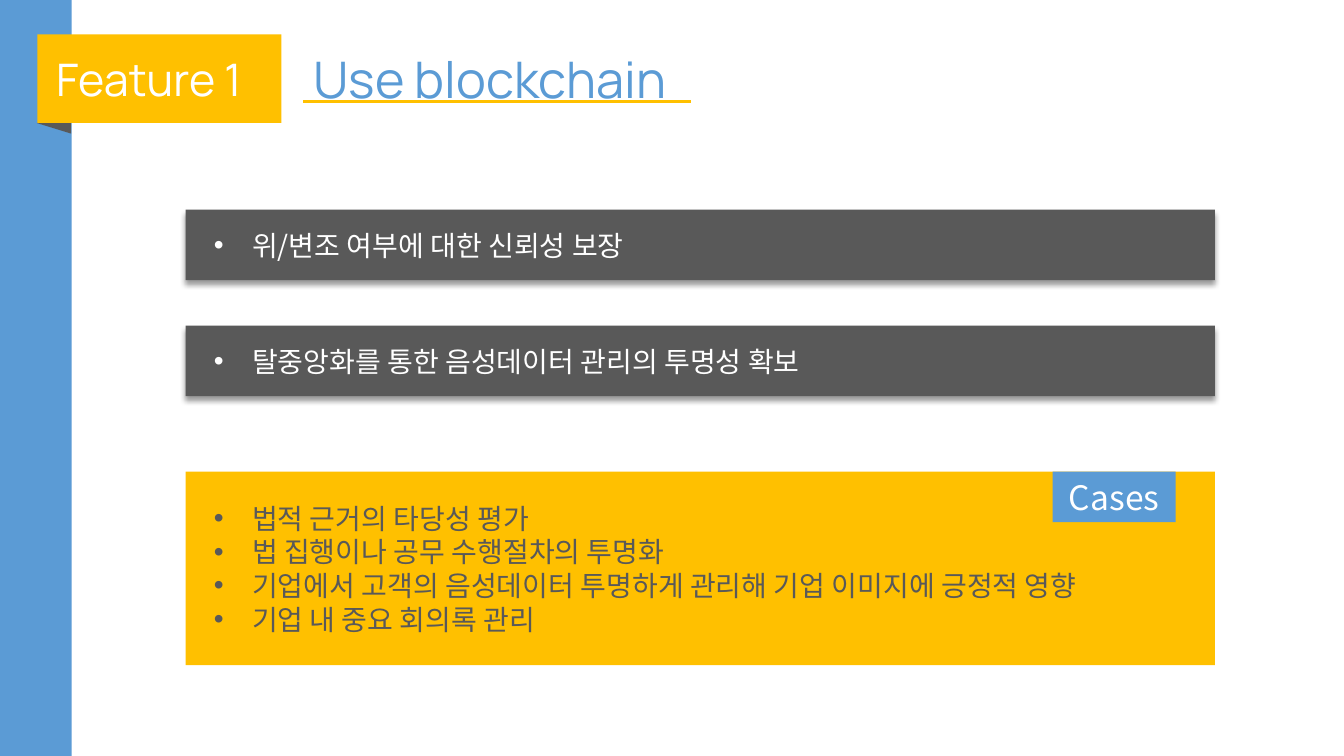
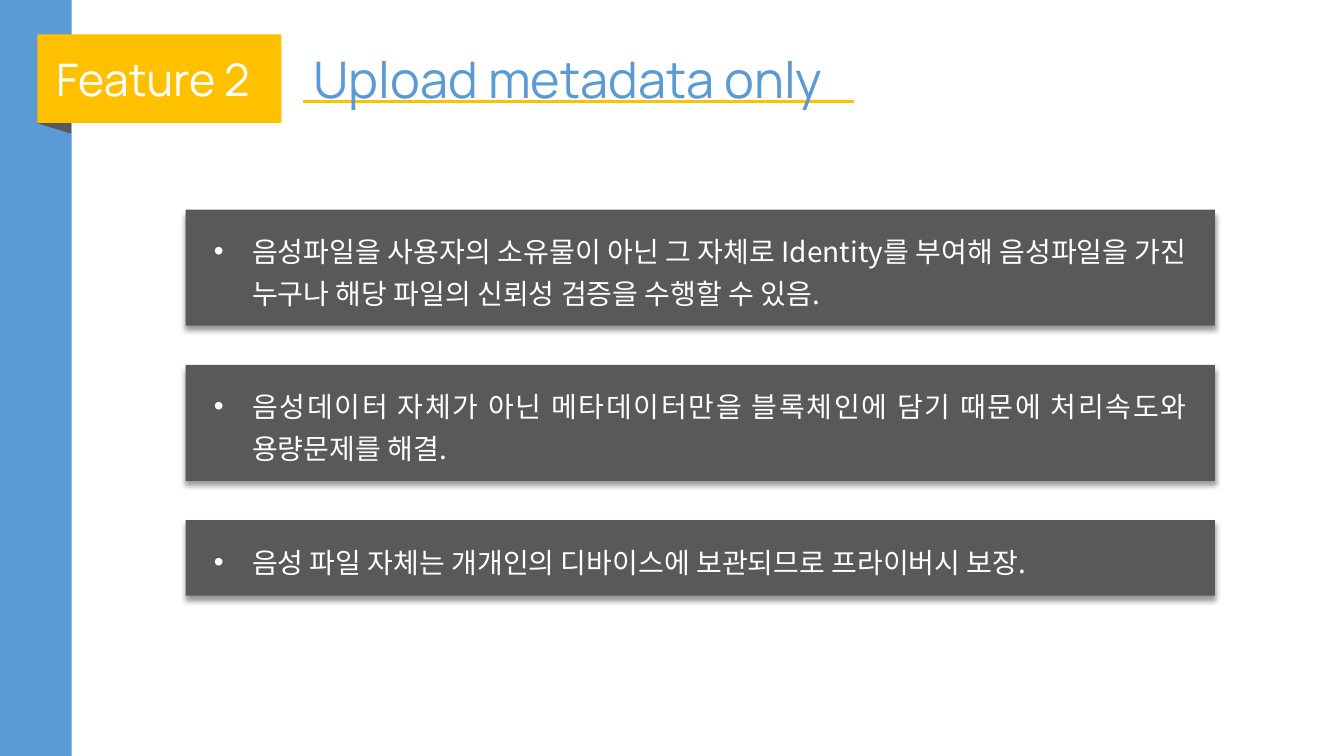
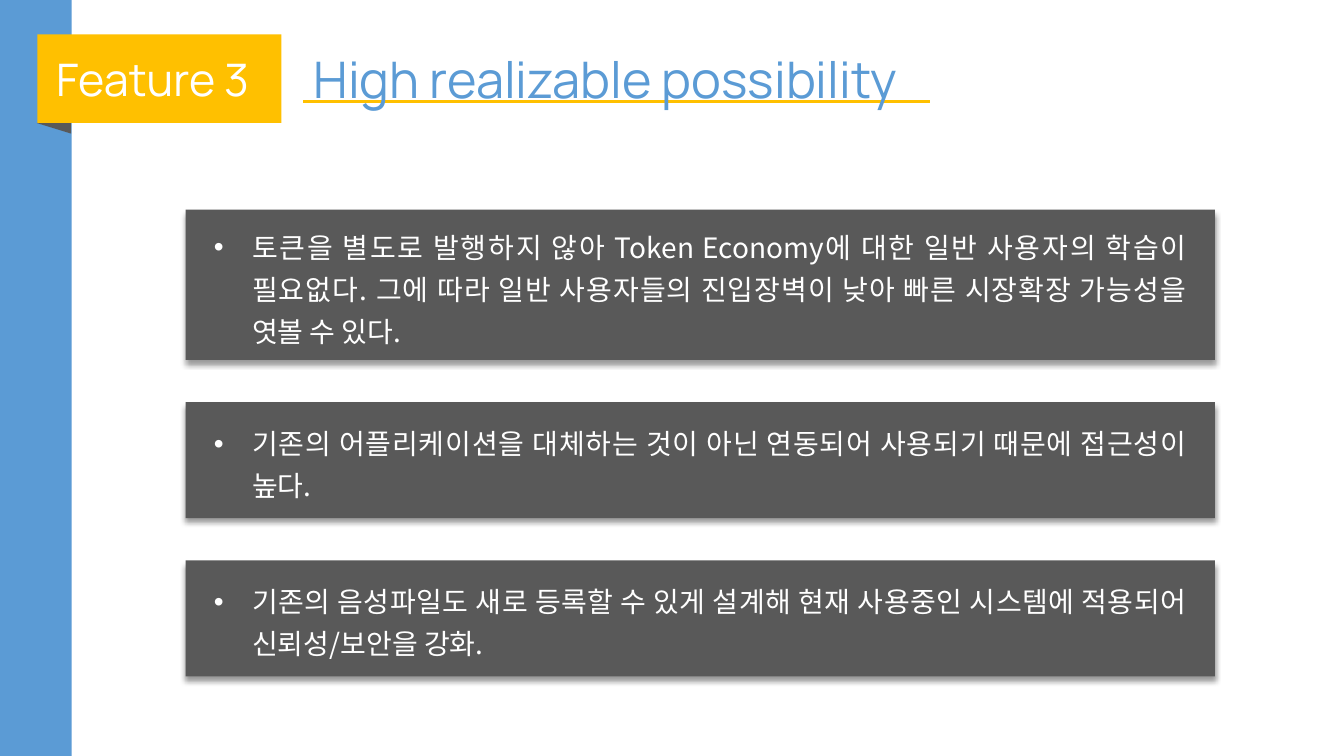
from dataclasses import dataclass

from lxml import etree
from pptx import Presentation
from pptx.dml.color import RGBColor
from pptx.enum.shapes import MSO_CONNECTOR, MSO_SHAPE
from pptx.enum.text import MSO_ANCHOR, MSO_AUTO_SIZE, PP_ALIGN
from pptx.oxml import parse_xml
from pptx.oxml.ns import nsdecls, qn
from pptx.util import Inches, Pt

RECTANGLE, TRIANGLE = MSO_SHAPE.RECTANGLE, MSO_SHAPE.ISOSCELES_TRIANGLE
STRAIGHT = MSO_CONNECTOR.STRAIGHT
TOP, MIDDLE = MSO_ANCHOR.TOP, MSO_ANCHOR.MIDDLE
LEFT, CENTER, JUSTIFY = PP_ALIGN.LEFT, PP_ALIGN.CENTER, PP_ALIGN.JUSTIFY
NO_AUTOFIT = MSO_AUTO_SIZE.NONE


@dataclass(frozen=True)
class Theme:
    blue: RGBColor = RGBColor.from_string("5B9BD5")
    yellow: RGBColor = RGBColor.from_string("FFC000")
    gray: RGBColor = RGBColor.from_string("595959")
    white: RGBColor = RGBColor.from_string("FFFFFF")
    heading_font: str = "Manrope"
    body_font: str = "Noto Sans CJK KR"
    title_size: int = 36
    tag_size: int = 32
    label_size: int = 24
    body_size: int = 20


theme = Theme()

SHADOW = (
    f'<a:effectLst {nsdecls("a")}><a:outerShdw blurRad="{Pt(4)}" dist="{Pt(3)}" '
    'dir="5400000" algn="t" rotWithShape="0"><a:srgbClr val="000000">'
    '<a:alpha val="40000"/></a:srgbClr></a:outerShdw></a:effectLst>'
)

# Content: title, underline end, line spacing, gap between bars, bars (height, text)
FEATURES = [
    ("Use blockchain", 6.85, 1.0, 0.45, [
        (0.7, "위/변조 여부에 대한 신뢰성 보장"),
        (0.7, "탈중앙화를 통한 음성데이터 관리의 투명성 확보"),
    ]),
    ("Upload metadata only", 8.47, 1.25, 0.39, [
        (1.15, "음성파일을 사용자의 소유물이 아닌 그 자체로 Identity를 부여해 "
               "음성파일을 가진 누구나 해당 파일의 신뢰성 검증을 수행할 수 있음."),
        (1.15, "음성데이터 자체가 아닌 메타데이터만을 블록체인에 담기 때문에 "
               "처리속도와 용량문제를 해결."),
        (0.75, "음성 파일 자체는 개개인의 디바이스에 보관되므로 프라이버시 보장."),
    ]),
    ("High realizable possibility", 9.22, 1.25, 0.42, [
        (1.49, "토큰을 별도로 발행하지 않아 Token Economy에 대한 일반 사용자의 학습이 "
               "필요없다. 그에 따라 일반 사용자들의 진입장벽이 낮아 빠른 시장확장 "
               "가능성을 엿볼 수 있다."),
        (1.15, "기존의 어플리케이션을 대체하는 것이 아닌 연동되어 사용되기 때문에 "
               "접근성이 높다."),
        (1.15, "기존의 음성파일도 새로 등록할 수 있게 설계해 현재 사용중인 시스템에 "
               "적용되어 신뢰성/보안을 강화."),
    ]),
]
CASES = [
    "법적 근거의 타당성 평가",
    "법 집행이나 공무 수행절차의 투명화",
    "기업에서 고객의 음성데이터 투명하게 관리해 기업 이미지에 긍정적 영향",
    "기업 내 중요 회의록 관리",
]
BAR_LEFT, BAR_TOP, BAR_WIDTH = 1.84, 2.08, 10.21


def add_block(slide, kind, left, top, width, height, color):
    shape = slide.shapes.add_shape(
        kind, Inches(left), Inches(top), Inches(width), Inches(height))
    shape.shadow.inherit = False
    shape.fill.solid()
    shape.fill.fore_color.rgb = color
    shape.line.fill.background()
    return shape


def write(shape, text, font, size, color, alignment=LEFT, anchor=MIDDLE, bullet_spacing=None):
    """Fill a shape with text; bullet_spacing turns lines into indented bullets."""
    frame = shape.text_frame
    frame.text = text
    frame.word_wrap = True
    frame.vertical_anchor = anchor
    if bullet_spacing:
        frame.margin_left = frame.margin_right = Inches(0.28)
    for paragraph in frame.paragraphs:
        paragraph.alignment = alignment
        paragraph.line_spacing = bullet_spacing or 1.0
        for run in paragraph.runs:
            run.font.size = Pt(size)
            run.font.color.rgb = color
            run.font.name = font
            east_asian = etree.SubElement(run.font._element, qn("a:ea"))
            east_asian.set("typeface", font)
        if bullet_spacing:
            properties = paragraph._p.get_or_add_pPr()
            properties.set("marL", str(Inches(0.38)))
            properties.set("indent", str(-Inches(0.38)))
            etree.SubElement(properties, qn("a:buFont")).set("typeface", "Arial")
            etree.SubElement(properties, qn("a:buChar")).set("char", "•")


presentation = Presentation()
presentation.slide_width = Inches(13.33)
presentation.slide_height = Inches(7.5)
layout = presentation.slide_layouts[5]
slides = [presentation.slides.add_slide(layout) for _ in FEATURES]

# Blue side band, moved to the layout so that every slide shares it
band = add_block(slides[0], RECTANGLE, 0, 0, 0.71, 7.5, theme.blue)
layout.shapes.element.insert(2, band.element)

for number, (slide, feature) in enumerate(zip(slides, FEATURES), start=1):
    title_text, underline_end, spacing, gap, bars = feature

    # Folded feature tag
    fold = add_block(slide, TRIANGLE, 0.43, 1.05, 0.21, 0.34, theme.gray)
    fold.rotation = 270
    tag = add_block(slide, RECTANGLE, 0.37, 0.34, 2.42, 0.88, theme.yellow)
    write(tag, f" Feature {number}", theme.heading_font, theme.tag_size, theme.white)

    # Title in front of its underline
    underline = slide.shapes.add_connector(
        STRAIGHT, Inches(3.01), Inches(1.01), Inches(underline_end), Inches(1.01))
    underline.line.color.rgb = theme.yellow
    underline.line.width = Pt(2)
    etree.SubElement(underline.element.spPr, qn("a:effectLst"))
    title = slide.shapes.title
    title.left, title.top = Inches(3.01), Inches(0.43)
    title.width, title.height = Inches(6.39), Inches(0.71)
    write(title, title_text, theme.heading_font, theme.title_size, theme.blue, anchor=TOP)
    title.text_frame.auto_size = NO_AUTOFIT
    slide.shapes.element.append(title.element)

    # Statement bars, stacked with an equal gap
    top = BAR_TOP
    for height, text in bars:
        bar = add_block(slide, RECTANGLE, BAR_LEFT, top, BAR_WIDTH, height, theme.gray)
        bar.element.spPr.remove(bar.element.spPr.find(qn("a:effectLst")))
        bar.element.spPr.append(parse_xml(SHADOW))
        write(bar, text, theme.body_font, theme.body_size, theme.white, JUSTIFY,
              bullet_spacing=spacing)
        top += height + gap

# Cases panel on the first slide
panel = add_block(slides[0], RECTANGLE, BAR_LEFT, 4.68, BAR_WIDTH, 1.92, theme.yellow)
write(panel, "\n".join(CASES), theme.body_font, theme.body_size, theme.gray, JUSTIFY,
      bullet_spacing=1.0)
label = add_block(slides[0], RECTANGLE, 10.44, 4.68, 1.22, 0.5, theme.blue)
write(label, "Cases", theme.body_font, theme.label_size, theme.white, CENTER)

presentation.save("out.pptx")
